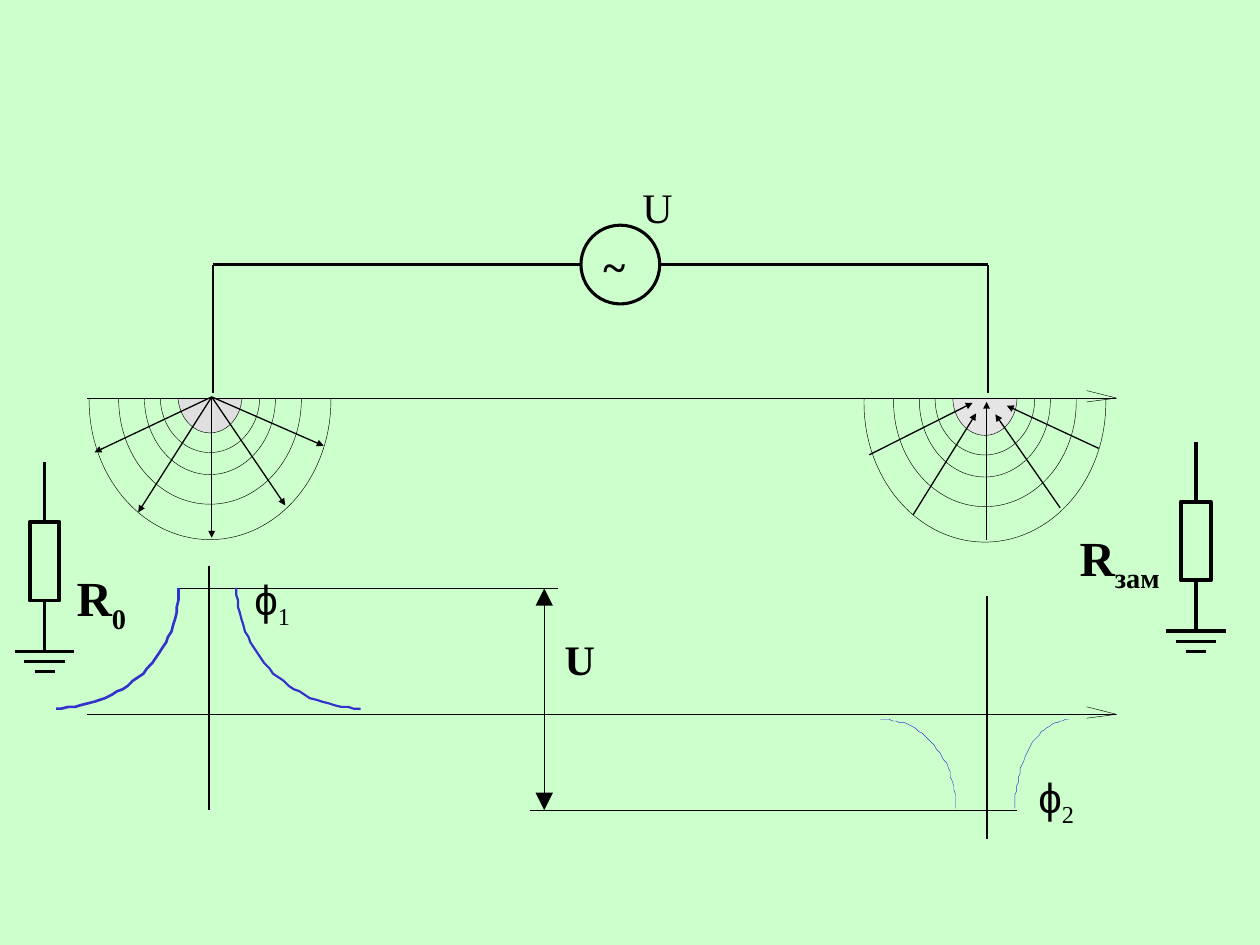
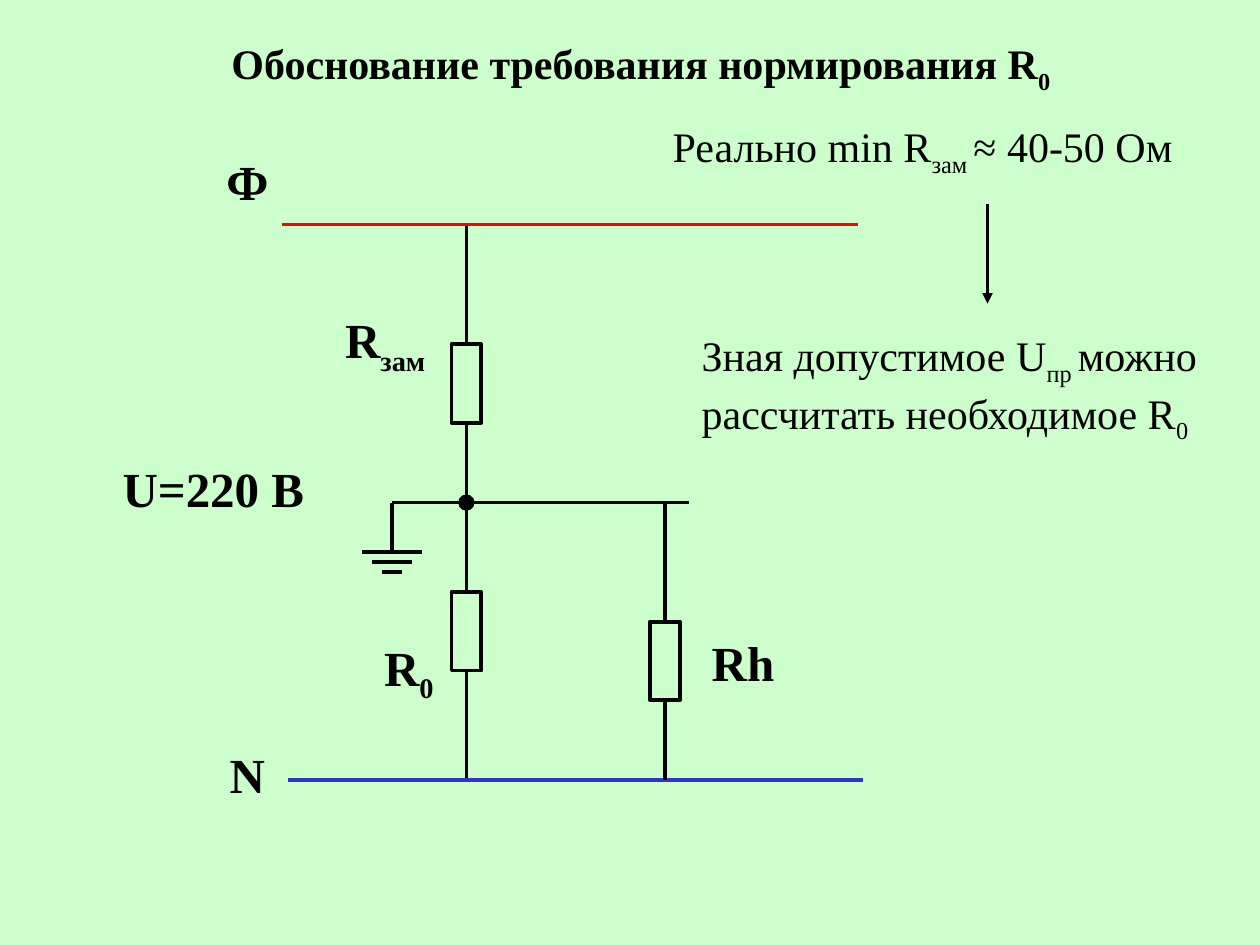
from math import cos, pi, sin

from lxml import etree
from pptx import Presentation
from pptx.dml.color import RGBColor
from pptx.enum.shapes import MSO_CONNECTOR, MSO_SHAPE
from pptx.enum.text import MSO_ANCHOR, MSO_AUTO_SIZE, PP_ALIGN
from pptx.oxml.ns import qn
from pptx.util import Pt

STRAIGHT = MSO_CONNECTOR.STRAIGHT
RECT, OVAL = MSO_SHAPE.RECTANGLE, MSO_SHAPE.OVAL
LEFT, CENTER = PP_ALIGN.LEFT, PP_ALIGN.CENTER
TOP, NO_FIT = MSO_ANCHOR.TOP, MSO_AUTO_SIZE.NONE

BACK, INK, RED, BLUE = "CCFFCC", "000000", "FF0000", "3333CC"
SERIF, SANS = "Times New Roman", "Arial"
THIN, FINE, WIRE, LEAD, FRAME = 0.25, 0.75, 1.5, 2, 2.25

RES_W, RES_H = 17, 45
EARTH_BARS = (34, 23, 11.5)
EARTH_GAP = 5.75
RINGS = ((36.7, 43.2), (56.9, 64.1), (74.9, 87.8), (104.4, 120.2), (138.2, 159.1))
RAY_ENDS = ((42, 62), (0, 80.5), (-42, 66), (-67, 31.7), (64, 28))
RAY_TIPS = ((5, 8.6), (0, 1.4), (-6, 8), (-8, 2), (11.5, 3.6))
SURFACE = 227.5


def color(value):
    return RGBColor.from_string(value)


def paint(fill, value):
    if value:
        fill.solid()
        fill.fore_color.rgb = color(value)
    else:
        fill.background()


def stroke(shape, value, width):
    if value:
        shape.line.color.rgb = color(value)
        shape.line.width = Pt(width)
    else:
        shape.line.fill.background()


def write(tf, text, size=24, bold=False, font=SERIF, align=LEFT, margins=(7.2, 3.6)):
    tf.word_wrap = True
    tf.auto_size = NO_FIT
    tf.vertical_anchor = TOP
    tf.margin_left = tf.margin_right = Pt(margins[0])
    tf.margin_top = tf.margin_bottom = Pt(margins[1])
    p = tf.paragraphs[0]
    p.alignment = align
    for i, part in enumerate(text.split("_")):
        if not part:
            continue
        r = p.add_run()
        r.text = part
        r.font.size = Pt(size)
        r.font.bold = bold
        r.font.color.rgb = color(INK)
        r.font.name = font
        if i % 2:
            r.font.name = SERIF
            r._r.get_or_add_rPr().set("baseline", "-25000")


def label(s, text, x, y, w, h, fill=None, **fmt):
    box = s.shapes.add_textbox(Pt(x), Pt(y), Pt(w), Pt(h))
    paint(box.fill, fill)
    write(box.text_frame, text, **fmt)


def block(s, kind, x, y, w, h, fill=None, line=None, width=THIN):
    sp = s.shapes.add_shape(kind, Pt(x), Pt(y), Pt(w), Pt(h))
    sp.shadow.inherit = False
    paint(sp.fill, fill)
    stroke(sp, line, width)
    return sp


def line(s, x1, y1, x2, y2, width=THIN, value=INK, head=None, tail=None):
    cn = s.shapes.add_connector(STRAIGHT, Pt(x1), Pt(y1), Pt(x2), Pt(y2))
    stroke(cn, value, width)
    ln = cn.line._get_or_add_ln()
    for tag, scale in (("a:headEnd", head), ("a:tailEnd", tail)):
        if scale:
            etree.SubElement(ln, qn(tag), type="triangle", w=scale, len=scale)
    etree.SubElement(cn._element.spPr, qn("a:effectLst"))
    return cn


def quarter_arc(s, cx, cy, rx, ry, width):
    points = [(cx + rx * cos(i * pi / 60), cy + ry * sin(i * pi / 60)) for i in range(31)]
    fb = s.shapes.build_freeform(*points[0], scale=Pt(1))
    fb.add_line_segments(points[1:], close=False)
    sp = fb.convert_to_shape()
    sp.shadow.inherit = False
    paint(sp.fill, None)
    stroke(sp, BLUE, width)


def resistor(s, cx, y, top, bottom):
    sp = block(s, RECT, cx - RES_W / 2, y, RES_W, RES_H, BACK, INK, FRAME)
    line(s, cx, top, cx, y, LEAD).end_connect(sp, 0)
    line(s, cx, y + RES_H, cx, bottom, LEAD).begin_connect(sp, 2)


def earth(s, cx, y):
    for i, w in enumerate(EARTH_BARS):
        bar_y = y + i * EARTH_GAP
        line(s, cx - w / 2, bar_y, cx + w / 2, bar_y, LEAD)


def earthed_resistor(s, cx, y):
    resistor(s, cx, y + 34, y, y + 108)
    earth(s, cx, y + 108)


def ground_field(s, x, y, core, cover_h, inward):
    for i, (w, h) in enumerate(RINGS):
        fill = None if i else core
        block(s, OVAL, x - 1 - w / 2, y - 1 + i * 0.75 - h / 2, w, h, fill, INK)
    block(s, RECT, x - 79, SURFACE - cover_h, 153.4, cover_h, BACK)
    for (ex, ey), (tx, ty) in zip(RAY_ENDS, RAY_TIPS):
        if inward:
            line(s, x + ex, y + ey, x + tx, y + ty, FINE, tail="sm")
        else:
            line(s, x, y, x + ex, y + ey, FINE, tail="sm")


def axis(s, x, y, w):
    end = x + w
    line(s, x, y, end, y)
    line(s, end - 17, y - 4.3, end, y)
    line(s, end - 17, y + 2.2, end, y)


def potentials(s, x, y, w):
    high, low = y - 72, y + 54.7
    label(s, "ϕ_1_", x + 94.7, high - 9.3, 46, 41, BACK, font=SANS, margins=(0.7, 0.7))
    label(s, "ϕ_2_", x + 542.6, low - 23, 50, 38, BACK, font=SANS, margins=(0.7, 0.7))
    label(s, "U", x + 272, y - 46.8, 55, 29, BACK, bold=True, margins=(0.7, 0.7))
    axis(s, x, y, w)
    line(s, x + 69.5, y - 85, x + 69.5, low, FINE)
    line(s, x + 514, y - 67.6, x + 514, y + 71.3, FINE)
    line(s, x + 52, high, x + 269, high)
    line(s, x + 253, low, x + 531, low)
    line(s, x + 261, high, x + 261, low, FINE, head="lg", tail="lg")
    quarter_arc(s, x - 18.3, high, 70.6, 68.4, 1.5)
    quarter_arc(s, x + 156, high, -70.6, 68.4, 1.25)
    quarter_arc(s, x + 453.3, low - 1, 43, -51, THIN)
    quarter_arc(s, x + 560.6, low - 0.5, -30.5, -51, THIN)


def source_circuit(s, x, y, w, h):
    size, left = 45, x + 210.3
    block(s, OVAL, left, y - size / 2, size, size, BACK, INK, 1.75)
    line(s, x, y, left, y, WIRE)
    line(s, left + size, y, x + w, y, WIRE)
    for wire_x in (x, x + w):
        line(s, wire_x, y, wire_x, y + h, WIRE)
    label(s, "~", left + 5.7, y - 17.3, 28, 36, bold=True)
    label(s, "U", left + 28, y - 51, 34, 36)


def fault_current_slide(prs):
    s = prs.slides.add_slide(prs.slide_layouts[6])
    ground_field(s, 563.8, 228.2, "E5E5E5", 78, True)
    ground_field(s, 121, 226.8, "DFDFDF", 88, False)
    axis(s, 50, SURFACE, 588)
    potentials(s, 50, 408.2, 588)
    source_circuit(s, 121.7, 151.2, 442.8, 73.4)
    earthed_resistor(s, 683.3, 252.7)
    earthed_resistor(s, 25.5, 264.2)
    label(s, "R_зам_", 609.8, 298, 79, 45, size=28, bold=True)
    label(s, "R_0_", 36.7, 321, 51, 45, size=28, bold=True)


def equivalent_circuit(s, x, y, w, h):
    node_x, node_y, load_x, earth_x = x + 105.2, y + 159, x + 218.7, x + 62.7
    bottom = y + h
    resistor(s, node_x, y + 68.4, y, node_y)
    resistor(s, node_x, y + 210, node_y, bottom)
    line(s, x, y, x + w, y, LEAD, RED)
    line(s, x + 3, bottom, x + w + 3, bottom, LEAD, BLUE)
    line(s, earth_x, node_y, x + 232.5, node_y, LEAD)
    line(s, earth_x, node_y, earth_x, node_y + 28.3, LEAD)
    earth(s, earth_x, node_y + 28.3)
    block(s, OVAL, node_x - 4.3, node_y - 4.3, 8.6, 8.6, INK, INK, FINE)
    resistor(s, load_x, y + 227, node_y, bottom)
    for text, dx, dy, box_w, align in (
        ("Ф", -85, -45.4, 130, CENTER),
        ("N", -85, 293.8, 130, CENTER),
        ("U=220 В", -104.4, 130.3, 130, CENTER),
        ("R_зам_", 28.8, 45.4, 68, LEFT),
        ("R_0_", 51.1, 232.6, 57, LEFT),
        ("Rh", 238.3, 229.7, 170, LEFT),
    ):
        label(s, text, x + dx, y + dy, box_w, 45, size=28, bold=True, align=align)


def reasoning(s, x, y, w):
    label(s, "Реально min R_зам _≈ 40-50 Ом", x, y, w, 40)
    line(s, x + 187, y + 51.2, x + 187, y + 108, LEAD, tail="med")
    label(s, "Зная допустимое U_пр _можно рассчитать необходимое R_0_",
          x + 16.6, y + 119.5, w, 73)


def requirement_slide(prs):
    s = prs.slides.add_slide(prs.slide_layouts[5])
    title = s.shapes.title
    title.left, title.top, title.width, title.height = Pt(30.2), Pt(18), Pt(672), Pt(40)
    write(title.text_frame, "Обоснование требования нормирования R_0_", bold=True, align=CENTER)
    equivalent_circuit(s, 161.3, 128.2, 329, 317.5)
    reasoning(s, 377.3, 65.5, 306)


def main():
    prs = Presentation()
    prs.slide_width, prs.slide_height = Pt(720), Pt(540)
    paint(prs.slide_master.background.fill, BACK)
    fault_current_slide(prs)
    requirement_slide(prs)
    prs.save("out.pptx")


if __name__ == "__main__":
    main()
